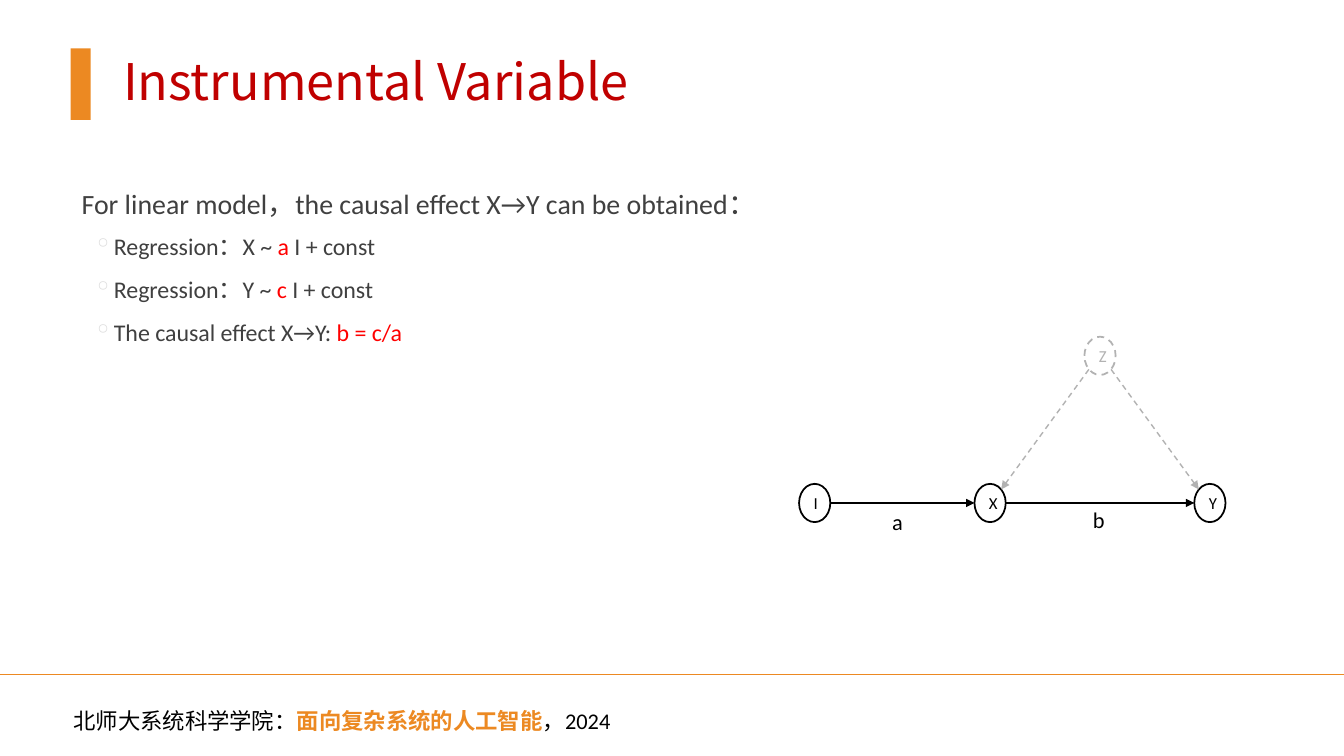
from pptx import Presentation
from pptx import util as u
from pptx.dml.color import RGBColor
from pptx.enum import dml, shapes, text
from pptx.oxml.ns import qn
from lxml import etree

COLOURS = {"orange": "EC8922", "title": "C00000", "body": "404040", "red": "FF0000",
           "black": "000000", "white": "FFFFFF", "grey": "B2B2B2", "bullet": "DDDDDD"}
RGB = {name: RGBColor.from_string(value) for name, value in COLOURS.items()}
WIDTH, HEIGHT = 13.33, 7.5


def write(para, spans, size, font="Calibri", bold=()):
    """Add (words, colour) spans to a paragraph."""
    for words, colour in spans:
        span = para.add_run()
        span.text = words
        look = {"size": u.Pt(size), "name": font, "bold": colour in bold}
        for key, value in look.items():
            setattr(span.font, key, value)
        span.font.color.rgb = RGB[colour]
        etree.SubElement(span.font._element, qn("a:ea"), typeface=font)


def join(start, end, colour, dashed=False, arrow=True):
    """Draw a straight line between two points given in inches."""
    line = page.shapes.add_connector(shapes.MSO_CONNECTOR.STRAIGHT,
                                     *[u.Inches(v) for v in (*start, *end)])
    line.line.color.rgb = RGB[colour]
    line.line.width = u.Pt(1)
    if dashed:
        line.line.dash_style = dml.MSO_LINE.DASH
    if arrow:
        etree.SubElement(line.line._get_or_add_ln(), qn("a:tailEnd"), type="triangle")
    etree.SubElement(line._element.spPr, qn("a:effectLst"))


deck = Presentation()
deck.slide_width, deck.slide_height = u.Inches(WIDTH), u.Inches(HEIGHT)
page = deck.slides.add_slide(deck.slide_layouts[5])

# Title with its orange marker
title = page.shapes.title
place = {"left": 1.12, "top": 0.48, "width": WIDTH - 1.12, "height": 0.71}
for key, value in place.items():
    setattr(title, key, u.Inches(value))
title.text_frame.vertical_anchor = text.MSO_ANCHOR.MIDDLE
heading = title.text_frame.paragraphs[0]
heading.alignment = text.PP_ALIGN.LEFT
heading.line_spacing = 0.9
write(heading, [("Instrumental Variable", "title")], 36, "Noto Sans CJK SC")

marker = page.shapes.add_shape(shapes.MSO_SHAPE.RECTANGLE, u.Inches(0.7), u.Inches(0.48),
                               u.Inches(0.2), u.Inches(0.71))
marker.shadow.inherit = False
marker.fill.solid()
marker.fill.fore_color.rgb = RGB["orange"]
marker.line.fill.background()

# Footer rule
join((0, 6.69), (WIDTH, 6.69), "orange", arrow=False)

# Body: a lead line and three bullets
body = page.shapes.add_textbox(u.Inches(0.71), u.Inches(1.74), u.Inches(8.03), u.Inches(5.02))
frame = body.text_frame
frame.word_wrap = True
frame.margin_left = frame.margin_right = 0
lines = [
    [("For linear model，the causal effect X→Y can be obtained：", "body")],
    [("Regression：X ~ ", "body"), ("a ", "red"), ("I + const", "body")],
    [("Regression：Y ~ ", "body"), ("c ", "red"), ("I + const", "body")],
    [("The causal effect X→Y: ", "body"), ("b = c/a", "red")],
]
for row, spans in enumerate(lines):
    para = frame.add_paragraph() if row else frame.paragraphs[0]
    para.level = 1 if row else 0
    look = {"line_spacing": 1.2, "space_before": u.Pt(2 if row else 0),
            "space_after": u.Pt(4 if row else 2)}
    for key, value in look.items():
        setattr(para, key, value)
    props = para._p.get_or_add_pPr()
    props.set("marL", str(u.Inches(0.42 if row else 0.1)))
    props.set("indent", str(u.Inches(-0.2 if row else 0)))
    if row:
        tint = etree.SubElement(props, qn("a:buClr"))
        etree.SubElement(tint, qn("a:srgbClr"), val=COLOURS["bullet"])
        etree.SubElement(props, qn("a:buChar"), char="◦")
    write(para, spans, 17.1 if row else 19.9)

# Causal graph: nodes by centre
NODE_W, NODE_H, BASE = 0.31, 0.38, 4.99
nodes = {"Z": (10.91, 3.53), "X": (9.82, BASE), "Y": (12.0, BASE), "I": (8.08, BASE)}
for name, (x, y) in nodes.items():
    hidden = name == "Z"
    ink = RGB["grey" if hidden else "black"]
    node = page.shapes.add_shape(shapes.MSO_SHAPE.OVAL, u.Inches(x - NODE_W / 2),
                                 u.Inches(y - NODE_H / 2), u.Inches(NODE_W), u.Inches(NODE_H))
    node.shadow.inherit = False
    node.fill.solid()
    node.fill.fore_color.rgb = RGB["white"]
    node.line.color.rgb = ink
    node.line.width = u.Pt(1.25)
    if hidden:
        node.line.dash_style = dml.MSO_LINE.DASH
    node.text_frame.vertical_anchor = text.MSO_ANCHOR.MIDDLE
    letter = node.text_frame.paragraphs[0]
    letter.alignment = text.PP_ALIGN.CENTER
    write(letter, [(name, "grey" if hidden else "black")], 12)

# Edges: level ones touch the sides, slanted ones the diagonal points
DIAGONAL = 0.71
for source, target in ["XY", "ZX", "ZY", "IX"]:
    (x1, y1), (x2, y2) = nodes[source], nodes[target]
    slanted = y1 != y2
    side = 1 if x2 > x1 else -1
    dx = side * NODE_W / 2 * (DIAGONAL if slanted else 1)
    dy = NODE_H / 2 * DIAGONAL if slanted else 0
    join((x1 + dx, y1 + dy), (x2 - dx, y2 - dy), "grey" if slanted else "black", slanted)

# Edge labels
for name, left, top in [("a", 8.75, 4.99), ("b", 10.74, 4.97)]:
    label = page.shapes.add_textbox(u.Inches(left), u.Inches(top), u.Inches(0.4), u.Inches(0.57))
    label.text_frame.word_wrap = False
    write(label.text_frame.paragraphs[0], [(name, "black")], 16)

# Footer text
footer = page.shapes.add_textbox(u.Inches(0.63), u.Inches(6.97), u.Inches(5.71), u.Inches(0.37))
footer.text_frame.word_wrap = True
write(footer.text_frame.paragraphs[0],
      [("北师大系统科学学院：", "black"), ("面向复杂系统的人工智能", "orange"), ("，2024", "black")],
      16, bold=("orange",))

deck.save("out.pptx")
